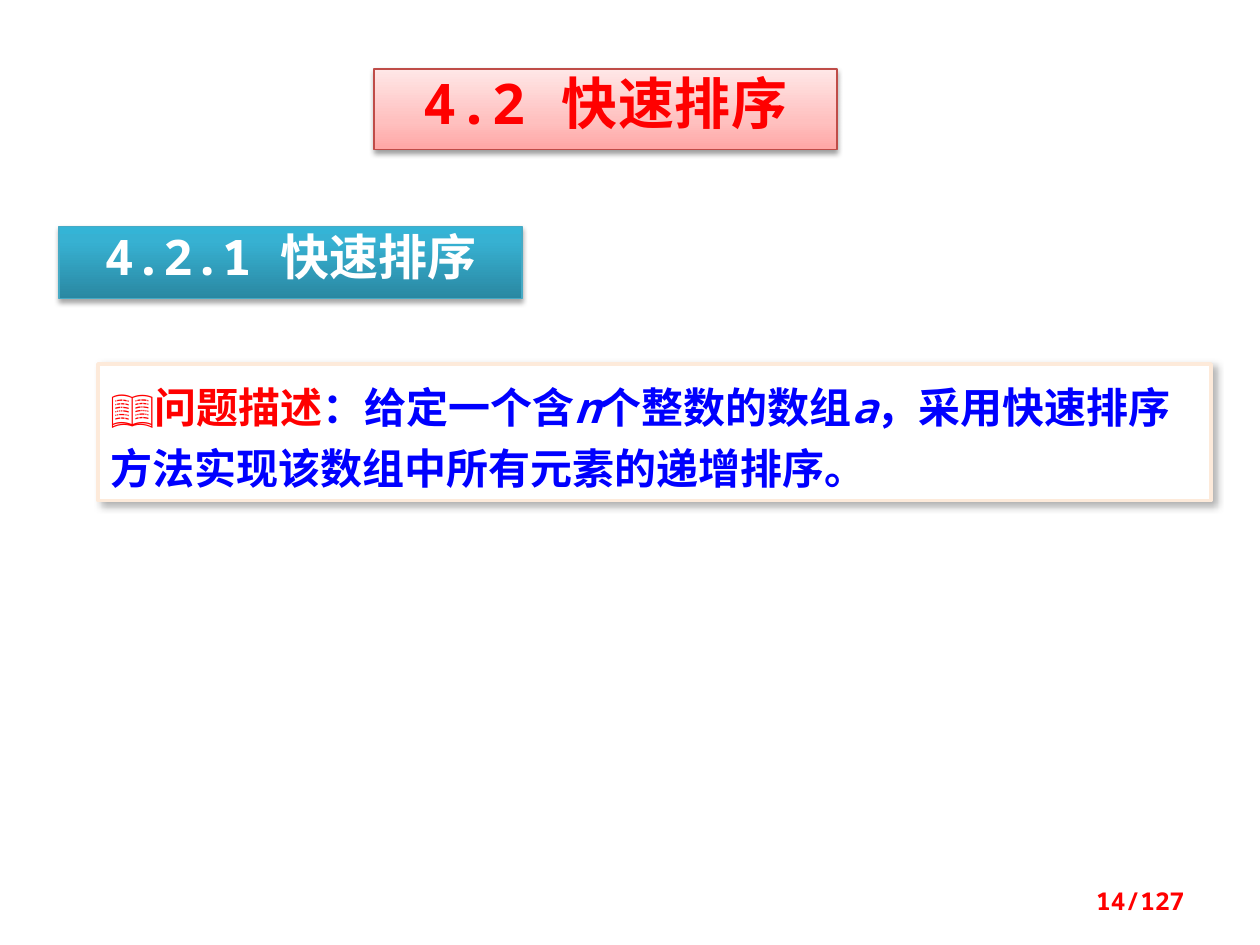
import pptx
import pptx.dml.color
import pptx.enum.shapes
import pptx.enum.text
import pptx.oxml.ns
import pptx.util
from lxml import etree

Pt = pptx.util.Pt
RGBColor = pptx.dml.color.RGBColor
ALIGN = pptx.enum.text.PP_ALIGN
ANCHOR = pptx.enum.text.MSO_ANCHOR
qn = pptx.oxml.ns.qn

RED = RGBColor(0xFF, 0x00, 0x00)
BLUE = RGBColor(0x00, 0x00, 0xFF)
WHITE = RGBColor(0xFF, 0xFF, 0xFF)
BLACK = RGBColor(0x00, 0x00, 0x00)
TITLE_LINE = RGBColor(0xBF, 0x4C, 0x48)
SECTION_LINE = RGBColor(0x46, 0xAA, 0xC5)
CREAM = RGBColor(0xFD, 0xEA, 0xDA)
TITLE_STOPS = [(0, RGBColor(0xFF, 0xA6, 0xA5)), (35, RGBColor(0xFF, 0xC0, 0xBF)),
               (100, RGBColor(0xFF, 0xE7, 0xE7))]
SECTION_STOPS = [(0, RGBColor(0x2A, 0x88, 0xA2)), (80, RGBColor(0x37, 0xB1, 0xD2)),
                 (100, RGBColor(0x34, 0xB4, 0xD6))]

MONO = "Noto Sans Mono"
SANS = "Noto Sans CJK SC"


def add_color(parent, color):
    return etree.SubElement(parent, qn("a:srgbClr"), val=str(color))


def add_run(paragraph, text, size, color, font=MONO, italic=False, spacing=None):
    run = paragraph.add_run()
    run.text = text
    run.font.size = Pt(size)
    run.font.bold = True
    run.font.italic = italic
    run.font.color.rgb = color
    run.font.name = font
    properties = run.font._element
    etree.SubElement(properties, qn("a:ea"), typeface=SANS)
    if spacing:
        properties.set("spc", str(round(spacing * 100)))


def set_gradient(shape, stops):
    """Fill from bottom to top with (percent, color) stops."""
    shape.fill.gradient()
    shape.fill.gradient_angle = 90
    stop_list = shape._element.spPr.find(".//" + qn("a:gsLst"))
    for stop in list(stop_list):
        stop_list.remove(stop)
    for percent, color in stops:
        stop = etree.SubElement(stop_list, qn("a:gs"), pos=str(percent * 1000))
        add_color(stop, color)


def set_shadow(shape, alpha, blur, distance, angle):
    shape.shadow.inherit = False
    effects = shape._element.spPr.find(qn("a:effectLst"))
    shadow = etree.SubElement(
        effects, qn("a:outerShdw"), blurRad=str(Pt(blur)), dist=str(Pt(distance)),
        dir=str(angle * 60000), algn="tl", rotWithShape="0")
    etree.SubElement(add_color(shadow, BLACK), qn("a:alpha"), val=str(alpha * 1000))


def add_box(slide, left, top, width, height, line_color, line_width):
    shape = slide.shapes.add_shape(
        pptx.enum.shapes.MSO_SHAPE.RECTANGLE, Pt(left), Pt(top), Pt(width), Pt(height))
    shape.line.color.rgb = line_color
    shape.line.width = Pt(line_width)
    shape.text_frame.word_wrap = True
    shape.text_frame.vertical_anchor = ANCHOR.TOP
    return shape


def add_heading(slide, left, top, height, text, size, color, stops, line_color,
                shadow, spacing=None):
    shape = add_box(slide, left, top, 264.5, height, line_color, 0.75)
    set_gradient(shape, stops)
    set_shadow(shape, *shadow)
    frame = shape.text_frame
    frame.margin_top = frame.margin_bottom = 0
    paragraph = frame.paragraphs[0]
    paragraph.alignment = ALIGN.CENTER
    add_run(paragraph, text, size, color, spacing=spacing)


def add_problem(slide):
    shape = add_box(slide, 56, 208, 636, 78, CREAM, 2)
    shape.fill.solid()
    shape.fill.fore_color.rgb = WHITE
    set_shadow(shape, 30, 4.5, 2.6, 53)
    paragraph = shape.text_frame.paragraphs[0]
    paragraph.alignment = ALIGN.LEFT
    paragraph.line_spacing = Pt(35)
    add_run(paragraph, "📖问题描述", 24, RED, font=SANS)
    for text, italic in [("：给定一个含", False), ("n", True), ("个整数的数组", False),
                         ("a", True),
                         ("，采用快速排序方法实现该数组中所有元素的递增排序。", False)]:
        add_run(paragraph, text, 24, BLUE, italic=italic)


def add_page_number(slide):
    box = slide.shapes.add_textbox(Pt(516), Pt(500.5), Pt(168), Pt(28.75))
    box.text_frame.word_wrap = True
    box.text_frame.vertical_anchor = ANCHOR.MIDDLE
    paragraph = box.text_frame.paragraphs[0]
    paragraph.alignment = ALIGN.RIGHT
    add_run(paragraph, "14/127", 14, RED)


def main():
    presentation = pptx.Presentation()
    presentation.slide_width = Pt(720)
    presentation.slide_height = Pt(540)
    slide = presentation.slides.add_slide(presentation.slide_layouts[6])
    add_heading(slide, 213.75, 39.4, 46.2, "4.2 快速排序", 32, RED, TITLE_STOPS,
                TITLE_LINE, (38, 3.1, 1.6, 90), spacing=0.5)
    add_heading(slide, 33.75, 129.6, 41, "4.2.1 快速排序", 28, WHITE, SECTION_STOPS,
                SECTION_LINE, (35, 3.1, 1.8, 90))
    add_problem(slide)
    add_page_number(slide)
    presentation.save("out.pptx")


if __name__ == "__main__":
    main()
